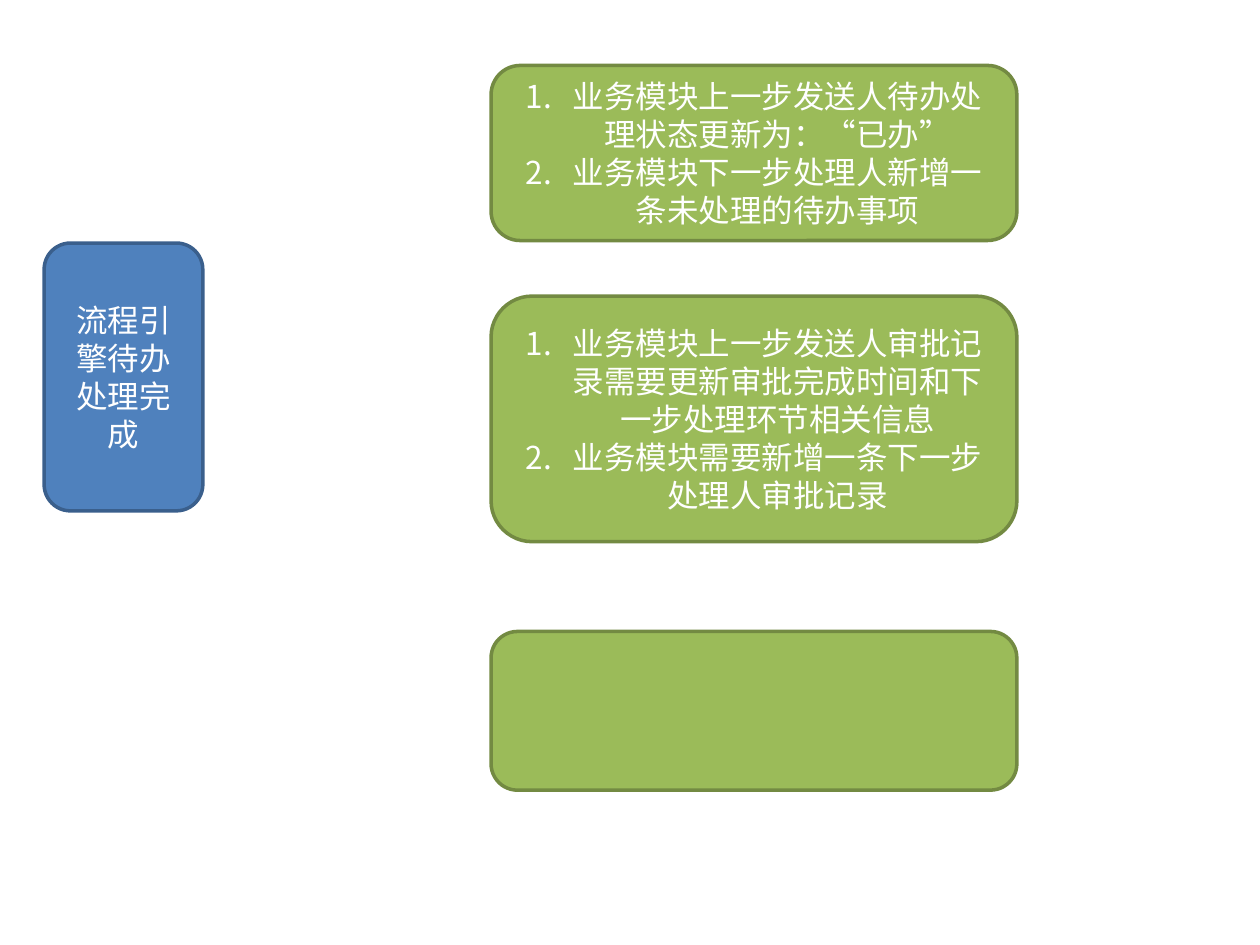
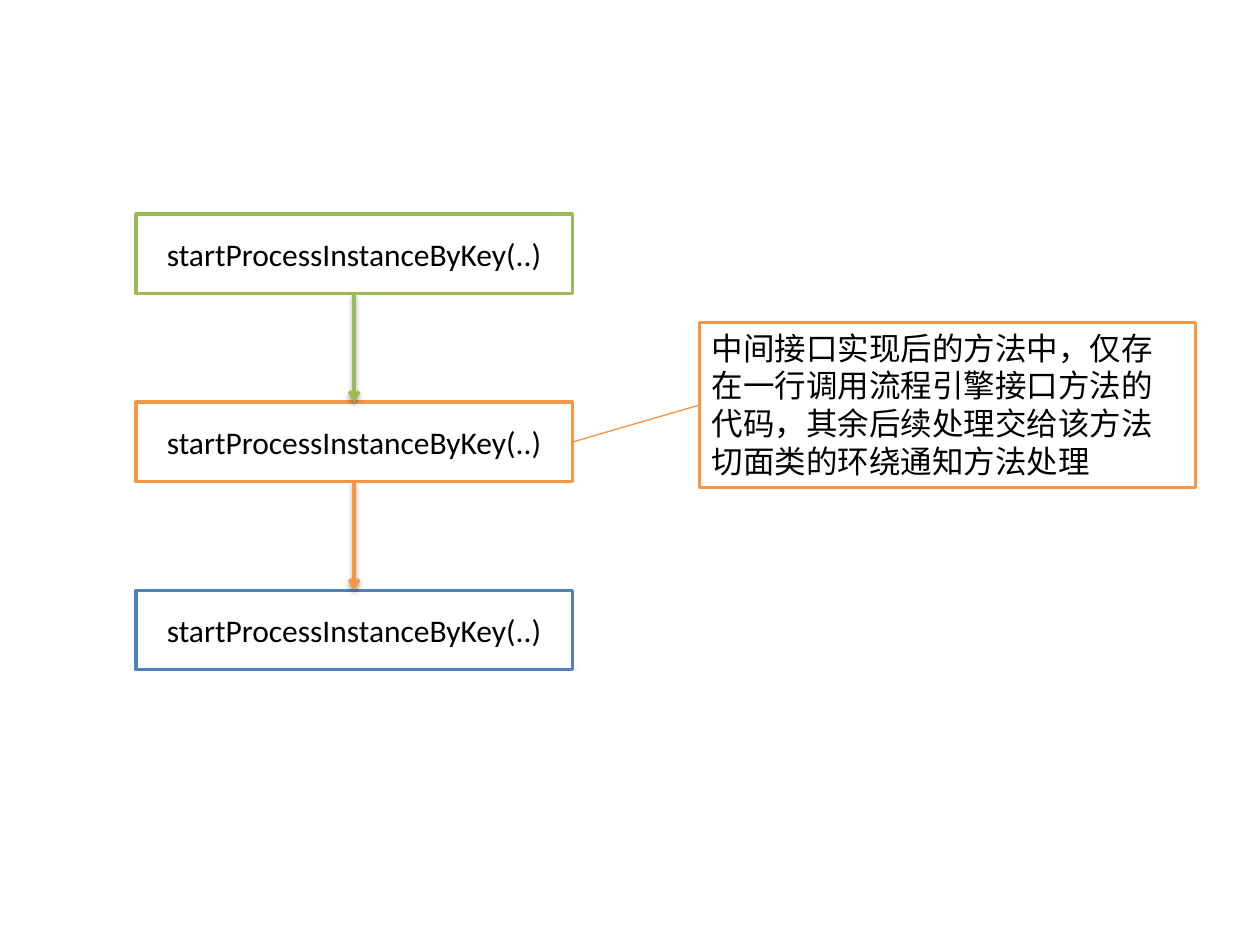
from pptx import Presentation
from pptx.dml.color import RGBColor
from pptx.enum.lang import MSO_LANGUAGE_ID
from pptx.enum.shapes import MSO_CONNECTOR, MSO_SHAPE
from pptx.enum.text import MSO_ANCHOR, PP_ALIGN
from pptx.oxml.ns import qn
from pptx.util import Cm, Pt
from lxml import etree

ROUNDED = MSO_SHAPE.FLOWCHART_ALTERNATE_PROCESS
RECTANGLE = MSO_SHAPE.RECTANGLE
STRAIGHT = MSO_CONNECTOR.STRAIGHT
CENTER, LEFT = PP_ALIGN.CENTER, PP_ALIGN.LEFT
MIDDLE, TOP = MSO_ANCHOR.MIDDLE, MSO_ANCHOR.TOP
CHINESE = MSO_LANGUAGE_ID.SIMPLIFIED_CHINESE

WHITE = RGBColor(0xFF, 0xFF, 0xFF)
BLACK = RGBColor(0x00, 0x00, 0x00)
BLUE = RGBColor(0x4F, 0x81, 0xBD)
DARK_BLUE = RGBColor(0x3A, 0x5F, 0x8C)
GREEN = RGBColor(0x9B, 0xBB, 0x59)
DARK_GREEN = RGBColor(0x73, 0x8A, 0x42)
ORANGE = RGBColor(0xF7, 0x96, 0x46)
NOTE_LINE = RGBColor(0xF6, 0x92, 0x40)
FONT, TEXT_SIZE = "Calibri", Pt(18)
TOP_SIDE, LEFT_SIDE, BOTTOM_SIDE, RIGHT_SIDE = range(4)

# Content: places and sizes in centimetres
ENGINE_TEXT = "流程引擎待办处理完成"
ENGINE_PLACE = (0.89, 4.9, 3.2, 5.4)
TASK_LEFT, TASK_WIDTH = 9.9, 10.6
TASKS = [  # top, height, numbered steps
    (1.32, 3.53, ["业务模块上一步发送人待办处理状态更新为：“已办”",
                  "业务模块下一步处理人新增一条未处理的待办事项"]),
    (5.97, 4.95, ["业务模块上一步发送人审批记录需要更新审批完成时间和下一步处理环节相关信息",
                  "业务模块需要新增一条下一步处理人审批记录"]),
    (12.73, 3.2, []),
]

CALL_TEXT = "startProcessInstanceByKey(..)"
CALL_COLORS = [GREEN, ORANGE, BLUE]
CALL_LEFT, CALL_TOP, CALL_WIDTH, CALL_HEIGHT, CALL_STEP = 2.74, 4.32, 8.8, 1.6, 3.79
NOTE_TEXT = "中间接口实现后的方法中，仅存在一行调用流程引擎接口方法的代码，其余后续处理交给该方法切面类的环绕通知方法处理"
NOTE_PLACE = (14.1, 6.5, 10, 3.33)


def number_paragraph(para):
    """Give a paragraph a hanging automatic number."""
    properties = para._p.get_or_add_pPr()
    properties.set("marL", str(Cm(0.95)))
    properties.set("indent", str(-Cm(0.95)))
    etree.SubElement(properties, qn("a:buFont"), typeface="+mj-lt")
    etree.SubElement(properties, qn("a:buAutoNum"), type="arabicPeriod")


def add_box(page, shape_type, place, fill, line, texts, text_color,
            numbered=False, align=CENTER, anchor=MIDDLE):
    box = page.shapes.add_shape(shape_type, *map(Cm, place))
    box.shadow.inherit = False
    box.fill.solid()
    box.fill.fore_color.rgb = fill
    box.line.color.rgb = line
    box.line.width = Pt(2)
    frame = box.text_frame
    frame.word_wrap = True
    frame.vertical_anchor = anchor
    for index, text in enumerate(texts):
        para = frame.add_paragraph() if index else frame.paragraphs[0]
        para.alignment = align
        if numbered:
            number_paragraph(para)
        span = para.add_run()
        span.text = text
        span.font.name = FONT
        span.font.size = TEXT_SIZE
        span.font.color.rgb = text_color
        span.font.language_id = CHINESE
    return box


def join(page, start, start_side, end, end_side, color, width, arrow=False):
    link = page.shapes.add_connector(STRAIGHT, 0, 0, 0, 0)
    link.begin_connect(start, start_side)
    link.end_connect(end, end_side)
    link.line.color.rgb = color
    link.line.width = Pt(width)
    effects = etree.SubElement(link._element.spPr, qn("a:effectLst"))
    if arrow:
        etree.SubElement(link.line._get_or_add_ln(), qn("a:tailEnd"), type="arrow")
        shadow = etree.SubElement(effects, qn("a:outerShdw"), blurRad=str(Pt(3.1)),
                                  dist=str(Pt(1.6)), dir="5400000", rotWithShape="0")
        black = etree.SubElement(shadow, qn("a:srgbClr"), val=str(BLACK))
        etree.SubElement(black, qn("a:alpha"), val="38000")


def build_tasks(page):
    add_box(page, ROUNDED, ENGINE_PLACE, BLUE, DARK_BLUE, [ENGINE_TEXT], WHITE)
    for top, height, steps in TASKS:
        add_box(page, ROUNDED, (TASK_LEFT, top, TASK_WIDTH, height),
                GREEN, DARK_GREEN, steps, WHITE, numbered=True)


def build_calls(page):
    # Stacked calls
    calls = [add_box(page, RECTANGLE,
                     (CALL_LEFT, CALL_TOP + row * CALL_STEP, CALL_WIDTH, CALL_HEIGHT),
                     WHITE, color, [CALL_TEXT], BLACK)
             for row, color in enumerate(CALL_COLORS)]
    # Each arrow takes the colour of the call it leaves
    for upper, lower, color in zip(calls, calls[1:], CALL_COLORS):
        join(page, upper, BOTTOM_SIDE, lower, TOP_SIDE, color, 2, arrow=True)
    # Note on the middle call
    note = add_box(page, RECTANGLE, NOTE_PLACE, WHITE, ORANGE, [NOTE_TEXT], BLACK,
                   align=LEFT, anchor=TOP)
    join(page, calls[1], RIGHT_SIDE, note, LEFT_SIDE, NOTE_LINE, 0.75)


def main():
    deck = Presentation()
    deck.slide_width, deck.slide_height = Cm(25.4), Cm(19.05)
    blank = deck.slide_layouts[6]
    for build in (build_tasks, build_calls):
        build(deck.slides.add_slide(blank))
    deck.save("out.pptx")


if __name__ == "__main__":
    main()
